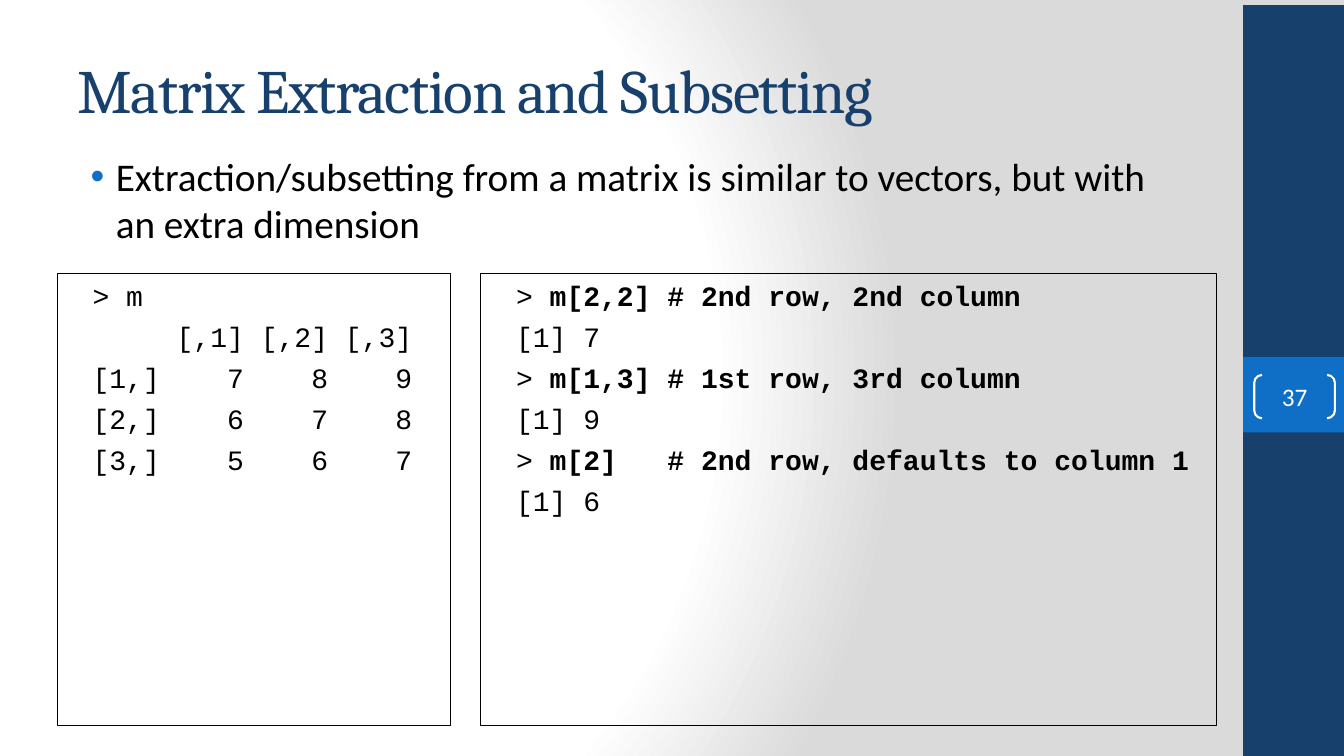
from dataclasses import dataclass

from lxml import etree
from pptx import Presentation
from pptx.dml.color import RGBColor
from pptx.enum.shapes import MSO_SHAPE as Preset
from pptx.enum.text import MSO_ANCHOR as Anchor, PP_ALIGN as Align
from pptx.oxml import parse_xml
from pptx.oxml.ns import nsdecls, qn
from pptx.util import Inches, Pt


@dataclass(frozen=True)
class Theme:
    """Colours, fonts and type sizes of the slide."""
    navy: str = "17406D"
    blue: str = "0F6FC6"
    white: str = "FFFFFF"
    grey: str = "DADADA"
    black: str = "000000"
    title_font: str = "Cambria"
    body_font: str = "Calibri"
    code_font: str = "Courier New"
    title_size: int = 44
    body_size: int = 28
    code_size: int = 20
    number_size: int = 18


THEME = Theme()

MATRIX_LINES = [
    ("> m", ""),
    ("     [,1] [,2] [,3]", ""),
    ("[1,]    7    8    9", ""),
    ("[2,]    6    7    8", ""),
    ("[3,]    5    6    7", ""),
]
EXTRACTION_LINES = [
    ("> ", "m[2,2] # 2nd row, 2nd column"),
    ("[1] 7", ""),
    ("> ", "m[1,3] # 1st row, 3rd column"),
    ("[1] 9", ""),
    ("> ", "m[2]   # 2nd row, defaults to column 1"),
    ("[1] 6", ""),
]


def set_background(slide):
    """Fill the background with a circular gradient from white to grey."""
    slide.background.fill.solid()
    solid = next(slide.element.iter(qn("a:solidFill")))
    stops = "".join(
        f'<a:gs pos="{position * 1000}"><a:srgbClr val="{color}"/></a:gs>'
        for position, color in ((0, THEME.white), (75, THEME.white), (100, THEME.grey))
    )
    gradient = parse_xml(
        f'<a:gradFill {nsdecls("a")} rotWithShape="1"><a:gsLst>{stops}</a:gsLst>'
        '<a:path path="circle"><a:fillToRect l="20000" t="50000" r="100000" b="50000"/>'
        "</a:path></a:gradFill>"
    )
    solid.getparent().replace(solid, gradient)


def add_run(paragraph, text, font, size, color, bold=False):
    """Append a styled run to a paragraph and return it."""
    run = paragraph.add_run()
    run.text = text
    run.font.name = font
    run.font.size = Pt(size)
    run.font.color.rgb = RGBColor.from_string(color)
    run.font.bold = bold
    return run


def add_preset(slide, preset, box, fill=None, line=None, width=0.75):
    """Add a preset shape with an optional fill and outline."""
    shape = slide.shapes.add_shape(preset, *map(Inches, box))
    shape.shadow.inherit = False
    if fill:
        shape.fill.solid()
        shape.fill.fore_color.rgb = RGBColor.from_string(fill)
    else:
        shape.fill.background()
    if line:
        shape.line.color.rgb = RGBColor.from_string(line)
        shape.line.width = Pt(width)
    else:
        shape.line.fill.background()
    return shape


def add_text_box(slide, box, anchor=Anchor.TOP):
    """Add a wrapping text box and return its first paragraph."""
    frame = slide.shapes.add_textbox(*map(Inches, box)).text_frame
    frame.word_wrap = True
    frame.vertical_anchor = anchor
    return frame.paragraphs[0]


def add_title(slide, text):
    """Add the slide title with tightened letter spacing."""
    paragraph = add_text_box(slide, (0.67, 0.3, 11.11, 1.16), Anchor.MIDDLE)
    run = add_run(paragraph, text, THEME.title_font, THEME.title_size, THEME.navy)
    run.font._element.set("spc", "-100")


def add_bullet(slide, text):
    """Add the bulleted statement under the title."""
    paragraph = add_text_box(slide, (0.67, 1.46, 11.11, 0.97))
    properties = paragraph._p.get_or_add_pPr()
    properties.set("marL", str(Inches(0.38)))
    properties.set("indent", str(Inches(-0.25)))
    color = etree.SubElement(properties, qn("a:buClr"))
    etree.SubElement(color, qn("a:srgbClr"), val=THEME.blue)
    etree.SubElement(properties, qn("a:buFont"), typeface="Arial")
    etree.SubElement(properties, qn("a:buChar"), char="•")
    add_run(paragraph, text, THEME.body_font, THEME.body_size, THEME.black)


def add_code_box(slide, left, width, lines):
    """Add an outlined console box, each line being plain text then bold text."""
    shape = add_preset(slide, Preset.RECTANGLE, (left, 2.71, width, 4.49), line=THEME.black)
    frame = shape.text_frame
    frame.word_wrap = True
    frame.vertical_anchor = Anchor.TOP
    for index, parts in enumerate(lines):
        paragraph = frame.add_paragraph() if index else frame.paragraphs[0]
        paragraph.alignment = Align.LEFT
        paragraph._p.get_or_add_pPr().set("marL", str(Inches(0.25)))
        if index:
            paragraph.space_before = Pt(5.3)
        for text, bold in zip(parts, (False, True)):
            if text:
                add_run(paragraph, text, THEME.code_font, THEME.code_size, THEME.black, bold)


def add_page_number(slide, number):
    """Add the side band and the bracketed page number."""
    add_preset(slide, Preset.RECTANGLE, (12.33, 0.05, 1, 7.5), THEME.navy)
    add_preset(slide, Preset.RECTANGLE, (12.33, 3.54, 1, 0.75), THEME.blue)
    brackets = add_preset(
        slide, Preset.DOUBLE_BRACKET, (12.44, 3.72, 0.8, 0.43), line=THEME.white, width=1.5
    )
    brackets.adjustments[0] = 0.18
    frame = brackets.text_frame
    frame.margin_left = frame.margin_right = frame.margin_top = frame.margin_bottom = 0
    frame.vertical_anchor = Anchor.MIDDLE
    paragraph = frame.paragraphs[0]
    paragraph.alignment = Align.CENTER
    add_run(paragraph, number, THEME.body_font, THEME.number_size, THEME.white)


def main():
    """Build the slide and save it."""
    presentation = Presentation()
    presentation.slide_width = Inches(13.33)
    presentation.slide_height = Inches(7.5)
    slide = presentation.slides.add_slide(presentation.slide_layouts[6])
    set_background(slide)
    add_page_number(slide, "37")
    add_title(slide, "Matrix Extraction and Subsetting")
    add_bullet(
        slide,
        "Extraction/subsetting from a matrix is similar to vectors, "
        "but with an extra dimension",
    )
    add_code_box(slide, 0.57, 3.9, MATRIX_LINES)
    add_code_box(slide, 4.77, 7.3, EXTRACTION_LINES)
    presentation.save("out.pptx")


if __name__ == "__main__":
    main()
